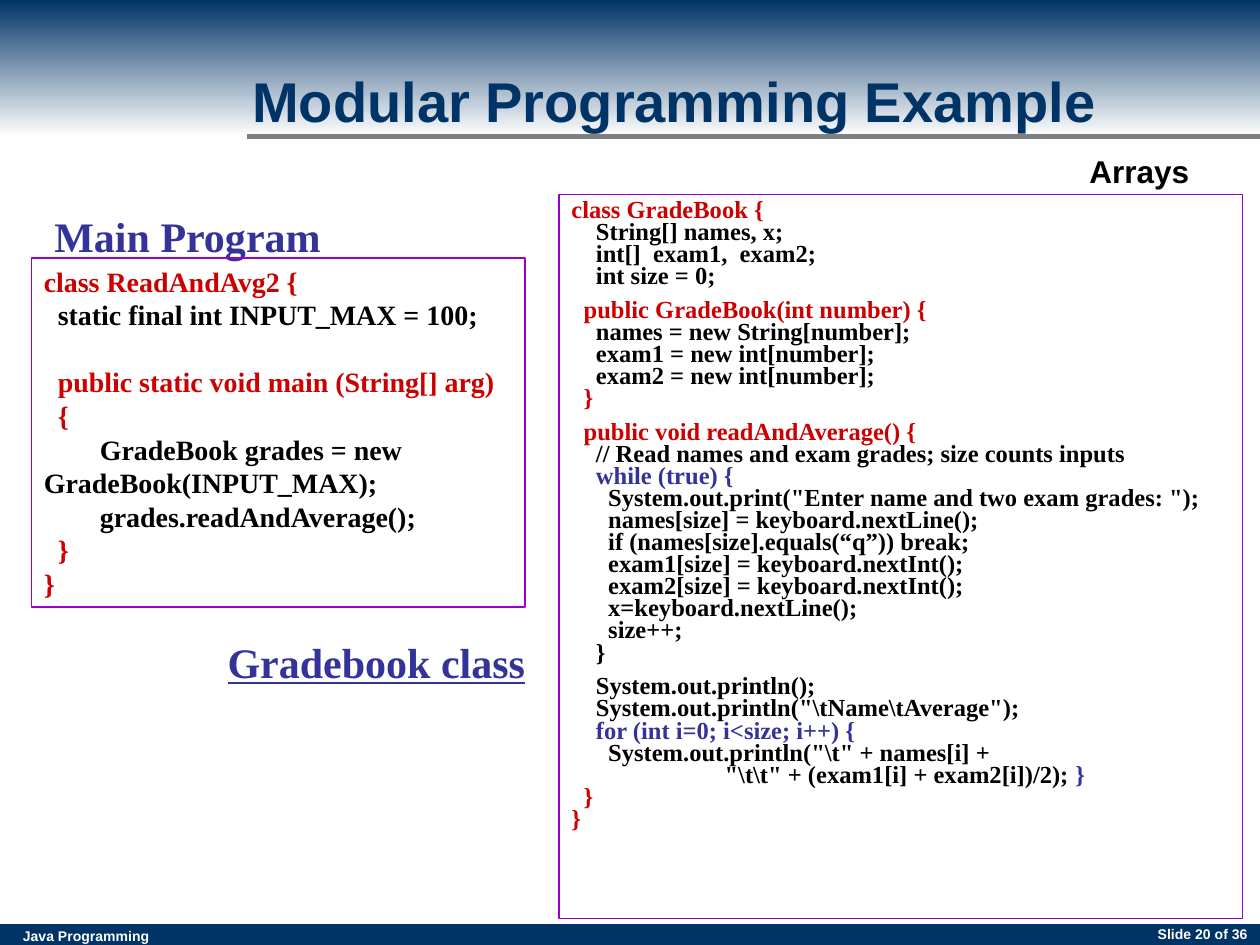
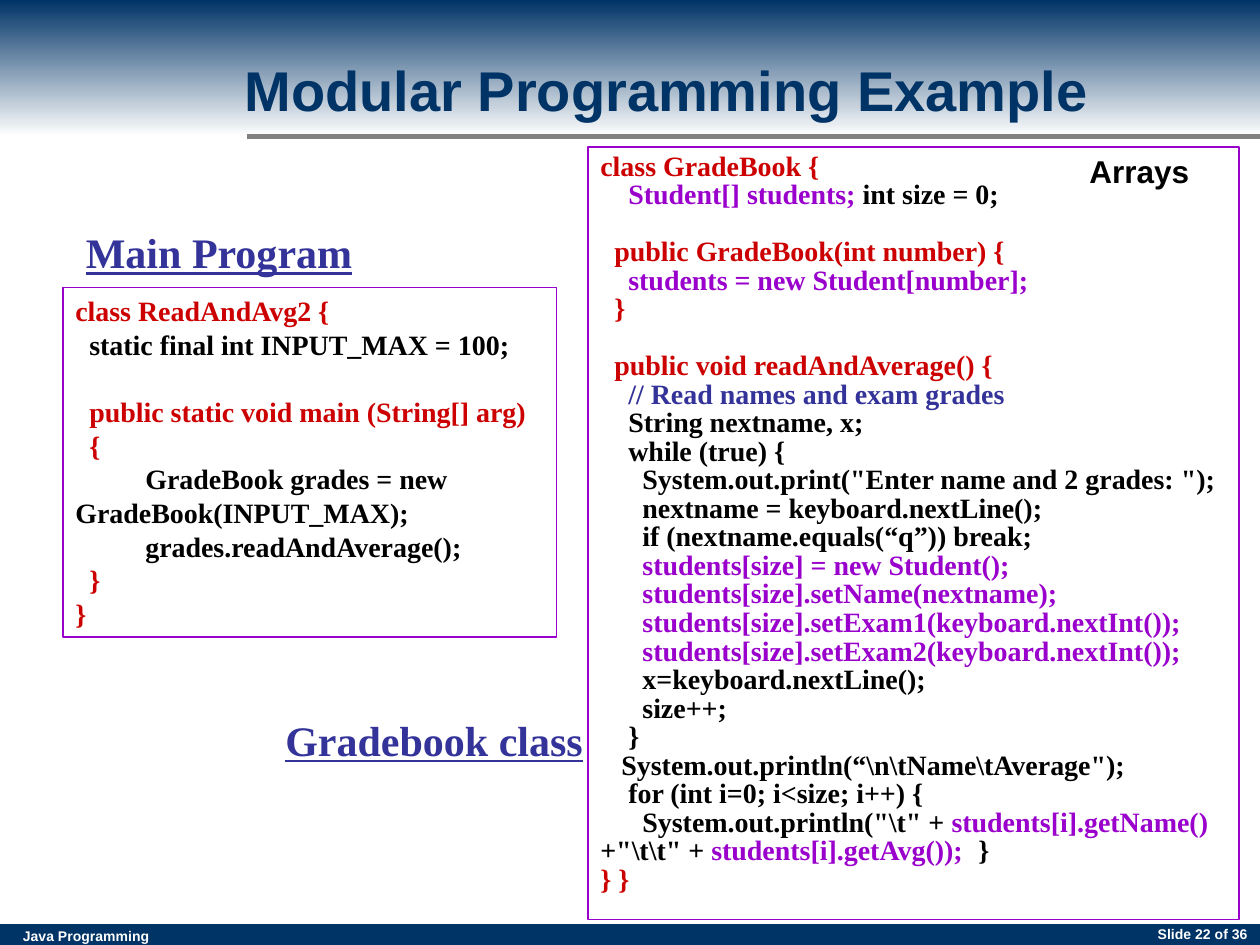
from lxml.etree import SubElement
from pptx import Presentation
from pptx.dml.color import RGBColor
from pptx.enum.shapes import MSO_CONNECTOR as CONN, MSO_SHAPE as SHAPE
from pptx.enum.text import MSO_ANCHOR as ANCHOR, PP_ALIGN as ALIGN
from pptx.oxml.ns import qn
from pptx.util import Pt

NAVY, WHITE, BLACK, GRAY = "003366", "FFFFFF", "000000", "808080"
RED, BLUE, PURPLE = "CC0000", "333399", "9900CC"
SANS, SERIF = "Arial", "Times New Roman"
LINE_HEIGHT = 1.2
SPACE_WIDTH = 0.25
GAP = None


def rgb(color):
    return RGBColor.from_string(color)


def red(text):
    return text, RED


def blue(text):
    return text, BLUE


def purple(text):
    return text, PURPLE


def points(box):
    return [Pt(v) for v in box]


def style(r, size, color, name, underline=False):
    f = r.font
    f.size, f.bold, f.name = Pt(size), True, name
    f.color.rgb = rgb(color)
    if underline:
        f.underline = True


def add_rect(s, box):
    sp = s.shapes.add_shape(SHAPE.RECTANGLE, *points(box))
    sp.shadow.inherit = False
    return sp


def add_label(s, text, box, size, color, name, align=ALIGN.LEFT, underline=False):
    tf = s.shapes.add_textbox(*points(box)).text_frame
    tf.word_wrap = True
    tf.text = text
    p = tf.paragraphs[0]
    p.alignment = align
    style(p.runs[0], size, color, name, underline)


def add_heading(s, text, left, top):
    add_label(s, text, (left, top, 186, 36), 24, BLUE, SERIF, underline=True)


def add_frame(s, number):
    footer = add_rect(s, (0, 528, 720, 12))
    footer.fill.solid()
    footer.fill.fore_color.rgb = rgb(NAVY)
    footer.line.fill.background()
    band = add_rect(s, (0, 0, 720, 78))
    band.line.fill.background()
    band.fill.gradient()
    band.fill.gradient_angle = 270
    for stop, position, color in zip(band.fill.gradient_stops, (0, 1), (NAVY, WHITE)):
        stop.position = position
        stop.color.rgb = rgb(color)
    rule = s.shapes.add_connector(CONN.STRAIGHT, *points((141, 78, 720, 78)))
    rule.line.color.rgb = rgb(GRAY)
    rule.line.width = Pt(3)
    SubElement(rule._element.spPr, qn("a:effectLst"))
    add_label(s, "Java Programming", (6, 526.5, 91, 17), 8, WHITE, SANS)
    add_label(s, "Arrays", (615.5, 83.5, 75, 29), 18, BLACK, SANS)
    add_label(s, f"Slide {number} of 36", (552, 525.5, 168, 19), 8, WHITE, SANS, ALIGN.RIGHT)


def add_title(s, box, align):
    sp = s.shapes.title
    sp.left, sp.top, sp.width, sp.height = points(box)
    sp.element.getparent().append(sp.element)
    tf = sp.text_frame
    tf.text = "Modular Programming Example"
    tf.vertical_anchor = ANCHOR.MIDDLE
    p = tf.paragraphs[0]
    p.alignment = align
    style(p.runs[0], 32, NAVY, SANS)


def add_tab_stop(pPr, position):
    tabs = SubElement(pPr, qn("a:tabLst"))
    SubElement(tabs, qn("a:tab"), pos=str(Pt(position)), algn="l")


def add_code(s, box, lines, size, spacing=1.0, gap_spacing=1.0, tab=0):
    sp = add_rect(s, box)
    sp.fill.background()
    sp.line.color.rgb = rgb(PURPLE)
    sp.line.width = Pt(0.75)
    tf = sp.text_frame
    tf.word_wrap = True
    tf.vertical_anchor = ANCHOR.TOP
    p, gap = tf.paragraphs[0], 0
    for line in lines:
        if line is GAP:
            gap = size * LINE_HEIGHT * gap_spacing
            continue
        spaces, *parts = line
        if p is None:
            p = tf.add_paragraph()
        p.alignment = ALIGN.LEFT
        p.line_spacing = spacing
        p.space_before = Pt(gap)
        pPr = p._p.get_or_add_pPr()
        pPr.set("marL", "0")
        pPr.set("indent", str(Pt(spaces * size * SPACE_WIDTH)))
        for part in parts:
            text, color = (part, BLACK) if isinstance(part, str) else part
            if "\t" in text:
                add_tab_stop(pPr, tab)
            r = p.add_run()
            r.text = text
            style(r, size, color, SERIF)
        p, gap = None, 0


def main_program(body_indent):
    return [
        (0, red("class ReadAndAvg2 {")),
        (2, "static final int INPUT_MAX = 100;"),
        GAP,
        (2, red("public static void main (String[] arg)")),
        (2, red("{")),
        (body_indent, "GradeBook grades = new GradeBook(INPUT_MAX);"),
        (body_indent, "grades.readAndAverage();"),
        (2, red("}")),
        (0, red("}")),
    ]


ARRAY_GRADEBOOK = [
    (0, red("class GradeBook {")),
    (4, "String[] names, x;"),
    (4, "int[]  exam1,  exam2;"),
    (4, "int size = 0;"),
    GAP,
    (2, red("public GradeBook(int number) {")),
    (4, "names = new String[number];"),
    (4, "exam1 = new int[number];"),
    (4, "exam2 = new int[number];"),
    (2, red("}")),
    GAP,
    (2, red("public void readAndAverage() {")),
    (4, "// Read names and exam grades; size counts inputs"),
    (4, blue("while (true) {")),
    (6, 'System.out.print("Enter name and two exam grades: ");'),
    (6, "names[size] = keyboard.nextLine();"),
    (6, "if (names[size].equals(“q”)) break;"),
    (6, "exam1[size] = keyboard.nextInt();"),
    (6, "exam2[size] = keyboard.nextInt();"),
    (6, "x=keyboard.nextLine();"),
    (6, "size++;"),
    (4, "}"),
    GAP,
    (4, "System.out.println();"),
    (4, r'System.out.println("\tName\tAverage");'),
    (4, blue("for (int i=0; i<size; i++) {")),
    (6, r'System.out.println("\t" + names[i] +'),
    (25, r'"\t\t" + (exam1[i] + exam2[i])/2);', blue("\t}")),
    (2, red("}")),
    (0, red("}")),
]

STUDENT_GRADEBOOK = [
    (0, red("class GradeBook {")),
    (4, purple("Student[] students;"), " int size = 0;"),
    GAP,
    (2, red("public GradeBook(int number) {")),
    (4, purple("students = new Student[number];")),
    (2, red("}")),
    GAP,
    (2, red("public void readAndAverage() {")),
    (4, blue("// Read names and exam grades")),
    (4, "String nextname, x;"),
    (4, "while (true) {"),
    (6, 'System.out.print("Enter name and 2 grades: ");'),
    (6, "nextname = keyboard.nextLine();"),
    (6, "if (nextname.equals(“q”)) break;"),
    (6, purple("students[size] = new Student();")),
    (6, purple("students[size].setName(nextname);")),
    (6, purple("students[size].setExam1(keyboard.nextInt());")),
    (6, purple("students[size].setExam2(keyboard.nextInt());")),
    (6, "x=keyboard.nextLine();"),
    (6, "size++;"),
    (4, "}"),
    (3, r'System.out.println(“\n\tName\tAverage");'),
    (4, "for (int i=0; i<size; i++) {"),
    (6, r'System.out.println("\t" + ', purple("students[i].getName()"),
     r' +"\t\t" + ', purple("students[i].getAvg());"), "\t}"),
    (0, red("} }")),
]


def add_slide(prs, number, title_box, align):
    s = prs.slides.add_slide(prs.slide_layouts[5])
    add_frame(s, number)
    add_title(s, title_box, align)
    return s


def main():
    prs = Presentation()
    prs.slide_width, prs.slide_height = Pt(720), Pt(540)

    s = add_slide(prs, 20, (137, 12, 576, 90), ALIGN.LEFT)
    add_heading(s, "Main Program", 24, 117)
    add_code(s, (319.5, 111, 390.5, 414), ARRAY_GRADEBOOK, 14, 0.75, 0.4, tab=298)
    add_code(s, (18, 147.5, 282, 199.5), main_program(8), 16)
    add_heading(s, "Gradebook class", 123, 360)

    s = add_slide(prs, 22, (57, 6, 648, 90), ALIGN.CENTER)
    add_heading(s, "Main Program", 42, 126)
    add_code(s, (336, 84, 372, 441.5), STUDENT_GRADEBOOK, 16, 0.85, 0.85, tab=223)
    add_code(s, (36, 164.5, 282, 199.5), main_program(10), 16)
    add_heading(s, "Gradebook class", 156, 404.5)

    prs.save("out.pptx")


if __name__ == "__main__":
    main()
